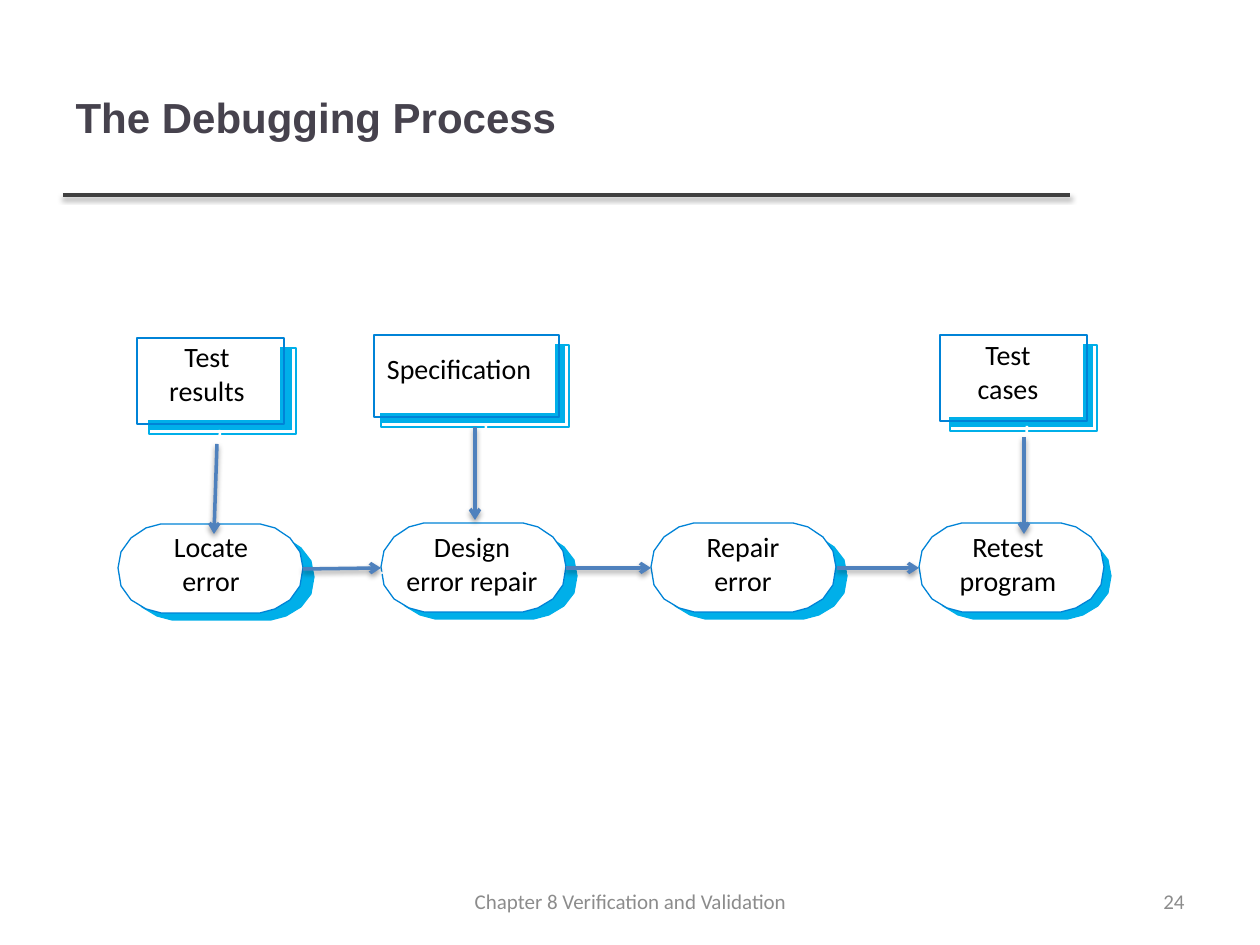
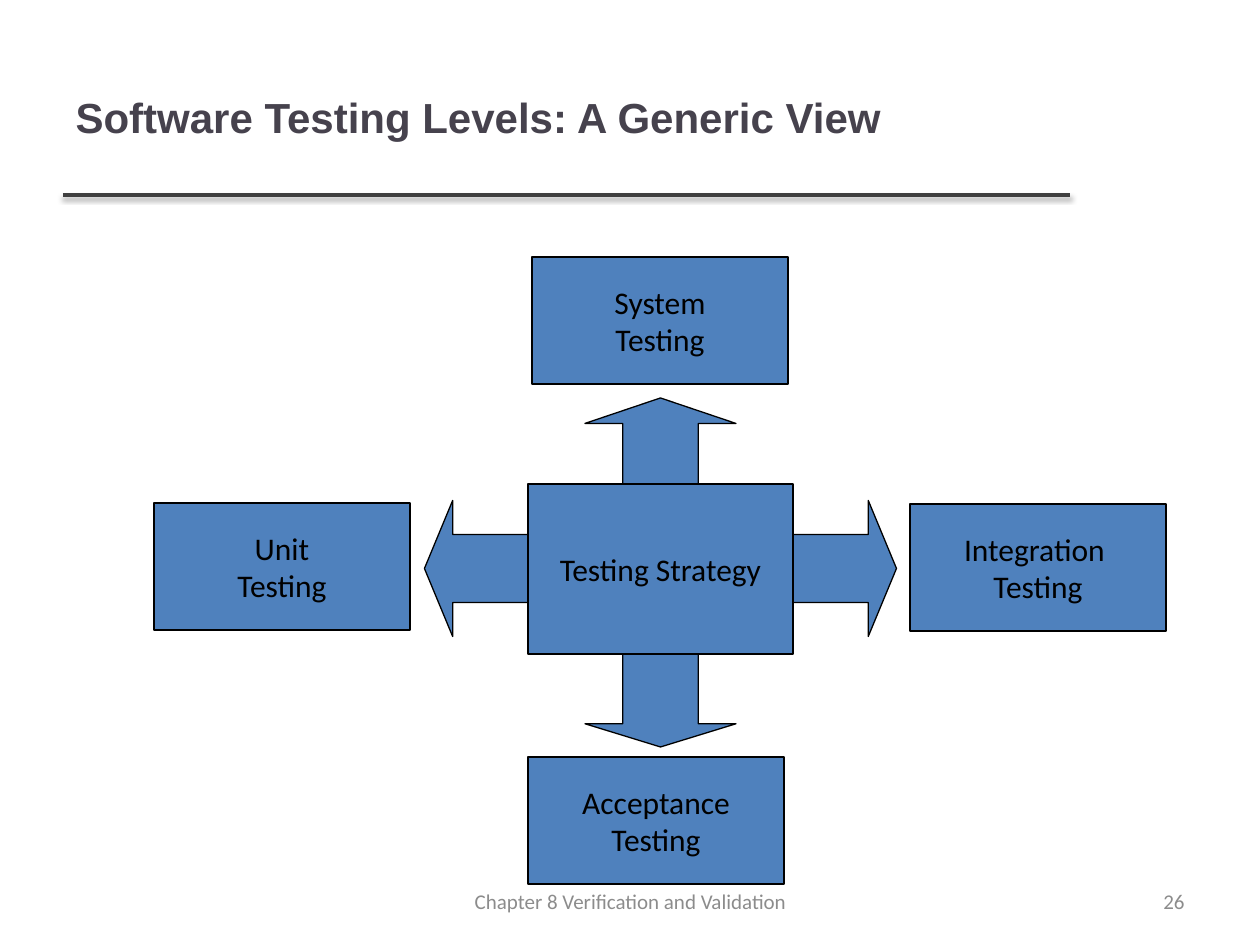
"""Build two slides on debugging and software testing levels."""
from lxml.etree import SubElement
from pptx import Presentation
from pptx.dml.color import RGBColor
from pptx.enum.shapes import MSO_CONNECTOR, MSO_SHAPE
from pptx.enum.text import MSO_ANCHOR, PP_ALIGN
from pptx.oxml.ns import qn
from pptx.util import Pt

PX = 7257
INK = RGBColor(0x46, 0x42, 0x4D)
GRAY = RGBColor(0x8C, 0x8C, 0x8C)
DARK = RGBColor(0x40, 0x40, 0x40)
BLACK = RGBColor(0, 0, 0)
WHITE = RGBColor(0xFF, 0xFF, 0xFF)
CYAN = RGBColor(0x00, 0xAF, 0xE9)
EDGE = RGBColor(0x00, 0x83, 0xD7)
BLUE = RGBColor(0x4F, 0x81, 0xBD)


def paint(shape, fill=None, line=None, width=0):
    shape.shadow.inherit = False
    if fill is None:
        shape.fill.background()
    else:
        shape.fill.solid()
        shape.fill.fore_color.rgb = fill
    if line is None:
        shape.line.fill.background()
    else:
        shape.line.color.rgb = line
        shape.line.width = Pt(width)


def write(frame, lines, size, tone, align, anchor=MSO_ANCHOR.MIDDLE, font="Calibri", bold=False):
    frame.vertical_anchor = anchor
    for i, line in enumerate(lines):
        para = frame.paragraphs[0] if i == 0 else frame.add_paragraph()
        para.alignment = align
        run = para.add_run()
        run.text = line
        run.font.name = font
        run.font.size = Pt(size)
        run.font.bold = bold
        run.font.color.rgb = tone


deck = Presentation()
deck.slide_width = 1260 * PX
deck.slide_height = 945 * PX

slides = []
for head, page in [("The Debugging Process", "24"), ("Software Testing Levels: A Generic View", "26")]:
    slide = deck.slides.add_slide(deck.slide_layouts[5])
    slides.append(slide)
    title = slide.shapes.title
    title.left, title.top, title.width, title.height = [n * PX for n in (63, 38, 1006, 157)]
    write(title.text_frame, [head], 24, INK, PP_ALIGN.LEFT, font="Arial", bold=True)
    for text, left, width, align in [
        ("Chapter 8 Verification and Validation", 431, 399, PP_ALIGN.CENTER),
        (page, 903, 294, PP_ALIGN.RIGHT),
    ]:
        box = slide.shapes.add_textbox(left * PX, 876 * PX, width * PX, 50 * PX)
        box.text_frame.word_wrap = True
        write(box.text_frame, [text], 12, GRAY, align)

flow, levels = slides

CURVE = [(43, 0), (28, 4), (13, 14), (3, 28), (0, 44), (3, 62), (13, 76), (28, 85), (43, 89)]
for left, top, back in [(118, 524, 185), (381, 523, 185), (651, 523, 185), (919, 523, 181)]:
    for x, y, width, height, fill, edge in [
        (left + 11, top + 10, back, 86, CYAN, CYAN),
        (left, top, 185, 89, WHITE, EDGE),
    ]:
        curve = [(dx, round(dy * height / 89)) for dx, dy in CURVE]
        right = [(x + width - dx, y + dy) for dx, dy in curve]
        rest = [(x + dx, y + dy) for dx, dy in reversed(curve)]
        pen = flow.shapes.build_freeform(*right[0], scale=PX)
        pen.add_line_segments(right[1:] + rest, close=True)
        paint(pen.convert_to_shape(), fill, edge)

for left, top, width, height, shift, back in [
    (137, 338, 147, 86, 12, 147),
    (374, 335, 185, 82, 7, 188),
    (940, 335, 147, 86, 10, 147),
]:
    for x, y, wide, fill, edge in [
        (left + shift, top + 10, back, CYAN, CYAN),
        (left, top, width, WHITE, EDGE),
    ]:
        for trim, inner, outer in [(4, fill, None), (0, None, edge)]:
            frame = [n * PX for n in (x, y, wide - trim, height - trim)]
            paint(flow.shapes.add_shape(MSO_SHAPE.RECTANGLE, *frame), inner, outer)

for lines, mid, top in [
    (["Locate", "error"], 211, 530),
    (["Design", "error repair"], 472, 530),
    (["Repair", "error"], 743, 530),
    (["Retest", "program"], 1008, 530),
    (["Test", "results"], 207, 340),
    (["Specification"], 459, 352),
    (["Test", "cases"], 1008, 338),
]:
    box = flow.shapes.add_textbox((mid - 80) * PX, top * PX, 160 * PX, 35 * len(lines) * PX)
    text = box.text_frame
    text.word_wrap = True
    text.margin_left = text.margin_right = text.margin_top = text.margin_bottom = 0
    write(text, lines, 16, BLACK, PP_ALIGN.CENTER, MSO_ANCHOR.TOP)

for left, top, width, height, turn in [
    (585, 398, 151, 102, 0),
    (772, 512, 136, 113, 90),
    (413, 512, 136, 113, 270),
    (585, 654, 151, 93, 180),
]:
    arrow = levels.shapes.add_shape(MSO_SHAPE.UP_ARROW, *[n * PX for n in (left, top, width, height)])
    arrow.adjustments[0] = 0.5
    arrow.adjustments[1] = 0.25
    arrow.rotation = turn
    paint(arrow, BLUE, BLACK, 0.75)

for lines, left, top, width, height in [
    (["Testing Strategy"], 528, 484, 265, 170),
    (["Integration ", "Testing"], 910, 504, 256, 127),
    (["Acceptance", "Testing"], 528, 757, 256, 127),
    (["System", "Testing"], 532, 257, 256, 127),
    (["Unit", "Testing"], 154, 503, 256, 127),
]:
    box = levels.shapes.add_shape(MSO_SHAPE.RECTANGLE, *[n * PX for n in (left, top, width, height)])
    paint(box, BLUE, BLACK, 0.75)
    box.text_frame.word_wrap = False
    write(box.text_frame, lines, 18, BLACK, PP_ALIGN.CENTER)

rules = [(slide, DARK, None, (63, 195, 1070, 195)) for slide in slides]
hints = [(flow, WHITE, "triangle", ends) for ends in [
    (220, 430, 217, 524), (486, 426, 483, 520), (1027, 426, 1024, 520),
    (315, 573, 384, 573), (581, 573, 650, 573), (847, 573, 916, 573),
]]
steps = [(flow, BLUE, "arrow", ends) for ends in [
    (217, 444, 214, 534), (303, 569, 381, 568), (475, 427, 475, 520),
    (566, 568, 651, 568), (837, 568, 919, 568), (1024, 437, 1024, 534),
]]
for slide, tone, tip, ends in rules + hints + steps:
    link = slide.shapes.add_connector(MSO_CONNECTOR.STRAIGHT, *[n * PX for n in ends])
    link.line.color.rgb = tone
    link.line.width = Pt(1.5 if tone == WHITE else 2)
    props = link.element.spPr
    if tip:
        SubElement(props.find(qn("a:ln")), qn("a:tailEnd"), type=tip)
    glow = SubElement(props, qn("a:effectLst"))
    if tone != WHITE:
        shade = SubElement(glow, qn("a:outerShdw"), blurRad="40000", dist="20000", dir="5400000", rotWithShape="0")
        color = SubElement(shade, qn("a:srgbClr"), val="000000")
        SubElement(color, qn("a:alpha"), val="38000")

deck.save("out.pptx")
